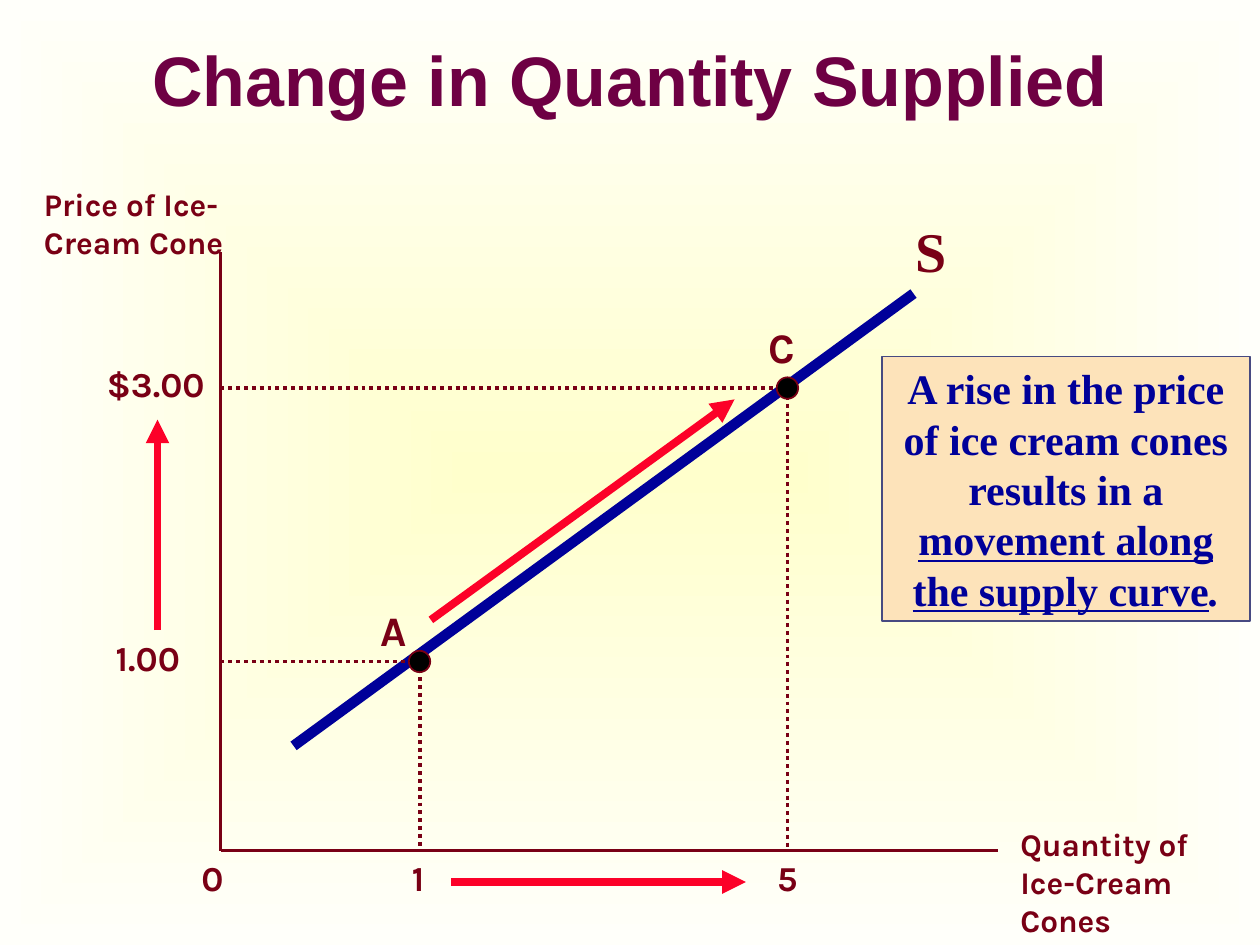
from pptx import Presentation
from pptx.dml.color import RGBColor
from pptx.enum.dml import MSO_LINE
from pptx.enum.shapes import MSO_CONNECTOR, MSO_SHAPE
from pptx.enum.text import MSO_ANCHOR, MSO_AUTO_SIZE, PP_ALIGN
from pptx.oxml import parse_xml
from pptx.oxml.ns import nsdecls
from pptx.util import Inches, Pt
from lxml.etree import SubElement

MAROON, PLUM, NAVY, RED = "790015", "6E0043", "000099", "FC0128"
BLACK, PEACH, SLATE = "000000", "FDE3BA", "474A81"
LABEL_FONT, SERIF_FONT, TITLE_FONT = "Karla", "Times New Roman", "Arial"
ORIGIN_X, ORIGIN_Y = 1.75, 6.75
DOT_SIZE = 0.17


def color(value):
    return RGBColor.from_string(value)


def apply_format(target, values):
    for name, value in values.items():
        setattr(target, name, value)


def place(box, left, top, width, height):
    lengths = zip(("left", "top", "width", "height"), (left, top, width, height))
    apply_format(box, {name: Inches(value) for name, value in lengths})


class SlideBuilder:
    def __init__(self, deck):
        self.page = deck.slides.add_slide(deck.slide_layouts[5])

    def background(self, inner, outer):
        """Fill the page with a gradient that spreads from its centre."""
        self.page.background.fill.solid()
        properties = self.page._element.cSld.bg.bgPr
        gradient = parse_xml(
            f'<a:gradFill {nsdecls("a")} rotWithShape="0"><a:gsLst>'
            f'<a:gs pos="0"><a:srgbClr val="{inner}"/></a:gs>'
            f'<a:gs pos="100000"><a:srgbClr val="{outer}"/></a:gs></a:gsLst>'
            '<a:path path="rect"><a:fillToRect l="50000" t="50000" r="50000" b="50000"/>'
            '</a:path></a:gradFill>')
        properties.replace(properties[0], gradient)

    def add_text(self, box, spans, size, font, ink, align=PP_ALIGN.LEFT):
        """Fill a box with one paragraph of (text, extra format) spans."""
        para = box.text_frame.paragraphs[0]
        para.alignment = align
        for text, extra in spans:
            span = para.add_run()
            span.text = text
            apply_format(span.font, {"name": font, "size": Pt(size), "bold": True, **extra})
            span.font.color.rgb = color(ink)
        return para

    def title(self, text, *bounds):
        box = self.page.shapes.title
        place(box, *bounds)
        apply_format(box.text_frame, {"vertical_anchor": MSO_ANCHOR.MIDDLE, "word_wrap": True})
        self.add_text(box, [(text, {})], 40, TITLE_FONT, PLUM, PP_ALIGN.CENTER)

    def label(self, text, bounds, size=20, font=LABEL_FONT):
        box = self.page.shapes.add_textbox(*map(Inches, bounds))
        apply_format(box.text_frame, {"word_wrap": True,
                                      "auto_size": MSO_AUTO_SIZE.SHAPE_TO_FIT_TEXT})
        para = self.add_text(box, [(text, {})], size, font, MAROON)
        para.space_before = Pt(size * 0.625)

    def line(self, start, end, ink=MAROON, width=2.25, dash=None, arrow=False):
        line = self.page.shapes.add_connector(
            MSO_CONNECTOR.STRAIGHT, *map(Inches, start + end))
        line.line.color.rgb = color(ink)
        apply_format(line.line, {"width": Pt(width), "dash_style": dash})
        if arrow:
            stroke = line.line._get_or_add_ln()
            stroke.append(parse_xml(f'<a:tailEnd {nsdecls("a")} type="triangle"/>'))
        properties = line._element.spPr
        SubElement(properties, f"{{{properties.nsmap['a']}}}effectLst")

    def shape(self, kind, bounds, fill, outline):
        shape = self.page.shapes.add_shape(kind, *map(Inches, bounds))
        shape.shadow.inherit = False
        shape.fill.solid()
        shape.fill.fore_color.rgb = color(fill)
        shape.line.color.rgb = color(outline)
        shape.line.width = Pt(1)
        return shape

    def guides(self, x, y):
        """Dotted lines from both axes to a point on the curve."""
        self.line((ORIGIN_X, y), (x, y), dash=MSO_LINE.ROUND_DOT)
        self.line((x, y), (x, ORIGIN_Y), dash=MSO_LINE.ROUND_DOT)

    def dot(self, x, y):
        corner = (x - DOT_SIZE / 2, y - DOT_SIZE / 2)
        self.shape(MSO_SHAPE.OVAL, corner + (DOT_SIZE, DOT_SIZE), BLACK, MAROON)

    def callout(self, spans, bounds):
        box = self.shape(MSO_SHAPE.RECTANGLE, bounds, PEACH, SLATE)
        apply_format(box.text_frame, {"word_wrap": True, "vertical_anchor": MSO_ANCHOR.TOP,
                                      "auto_size": MSO_AUTO_SIZE.SHAPE_TO_FIT_TEXT})
        para = self.add_text(box, spans, 24, SERIF_FONT, NAVY, PP_ALIGN.CENTER)
        para.space_before = Pt(15)


def main():
    deck = Presentation()
    apply_format(deck, {"slide_width": Inches(10), "slide_height": Inches(7.5)})
    slide = SlideBuilder(deck)
    slide.background("FFFFCC", "FFFFFA")
    slide.title("Change in Quantity Supplied", 0.75, 0, 8.5, 1.25)

    slide.line((ORIGIN_X, 2), (ORIGIN_X, ORIGIN_Y))
    slide.line((ORIGIN_X, ORIGIN_Y), (7.92, ORIGIN_Y))
    slide.label("Price of Ice-Cream Cone", (0.25, 1.42, 1.67, 1), 18)
    slide.label("Quantity of Ice-Cream Cones", (8, 6.5, 1.67, 1), 18)
    for text, left in (("0", 1.5), ("1", 3.17), ("5", 6.07)):
        slide.label(text, (left, ORIGIN_Y, 0.5, 0.44))
    for text, left, top in (("$3.00", 0.75, 2.83), ("1.00", 0.82, 5)):
        slide.label(text, (left, top, 1, 0.44))

    slide.line((2.33, 5.92), (7.25, 2.33), NAVY, 6)
    slide.label("S", (7.17, 1.67, 0.67, 0.64), 32, SERIF_FONT)

    points = (("A", 3.33, 5.25, 2.92, 4.75), ("C", 6.25, 3.08, 6, 2.5))
    for name, x, y, left, top in points:
        slide.guides(x, y)
        slide.dot(x, y)
        slide.label(name, (left, top, 0.42, 0.5), 24)

    arrows = (((1.25, 5), (1.25, 3.33)), ((3.58, 7), (5.92, 7)), ((3.42, 4.92), (5.83, 3.17)))
    for start, end in arrows:
        slide.line(start, end, RED, 4.5, arrow=True)

    slide.callout([("A rise in the price of ice cream cones results in a ", {}),
                   ("movement along the supply curve", {"underline": True}),
                   (".", {"italic": True})], (7, 2.83, 2.92, 2.1))
    deck.save("out.pptx")


if __name__ == "__main__":
    main()
